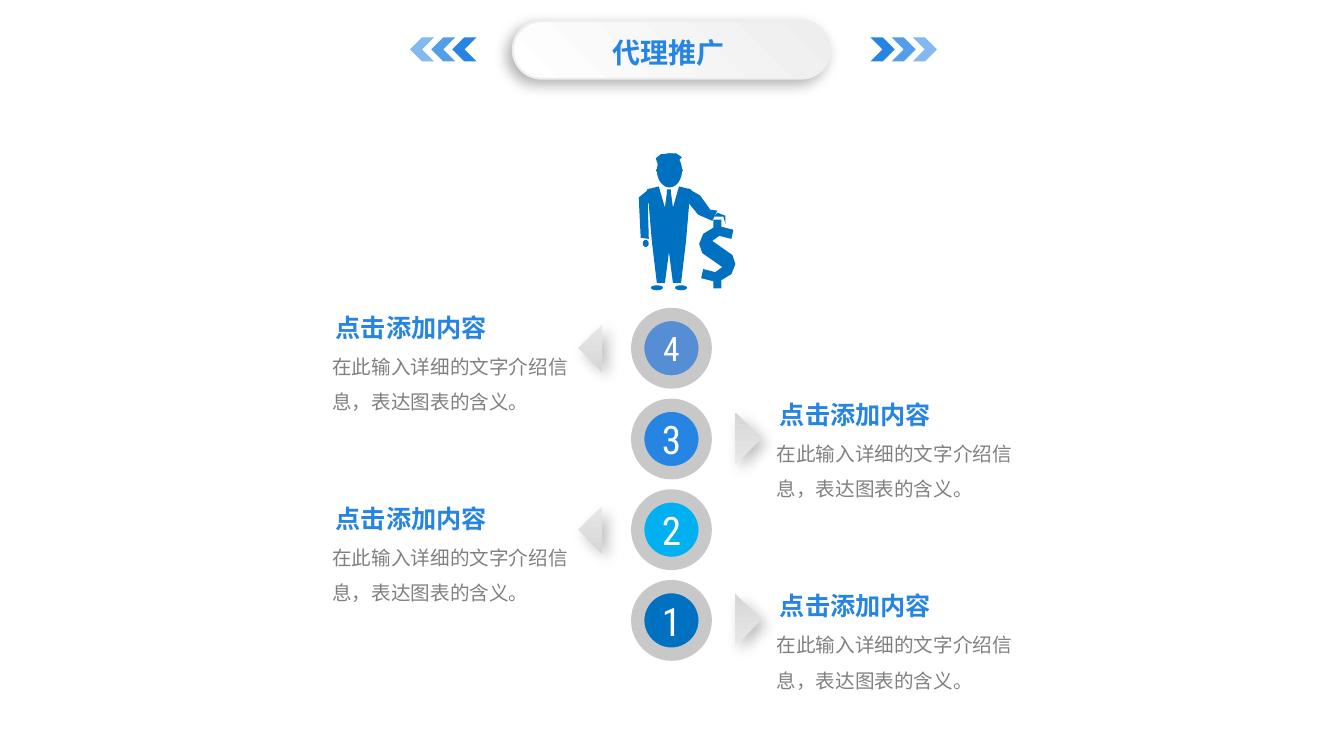
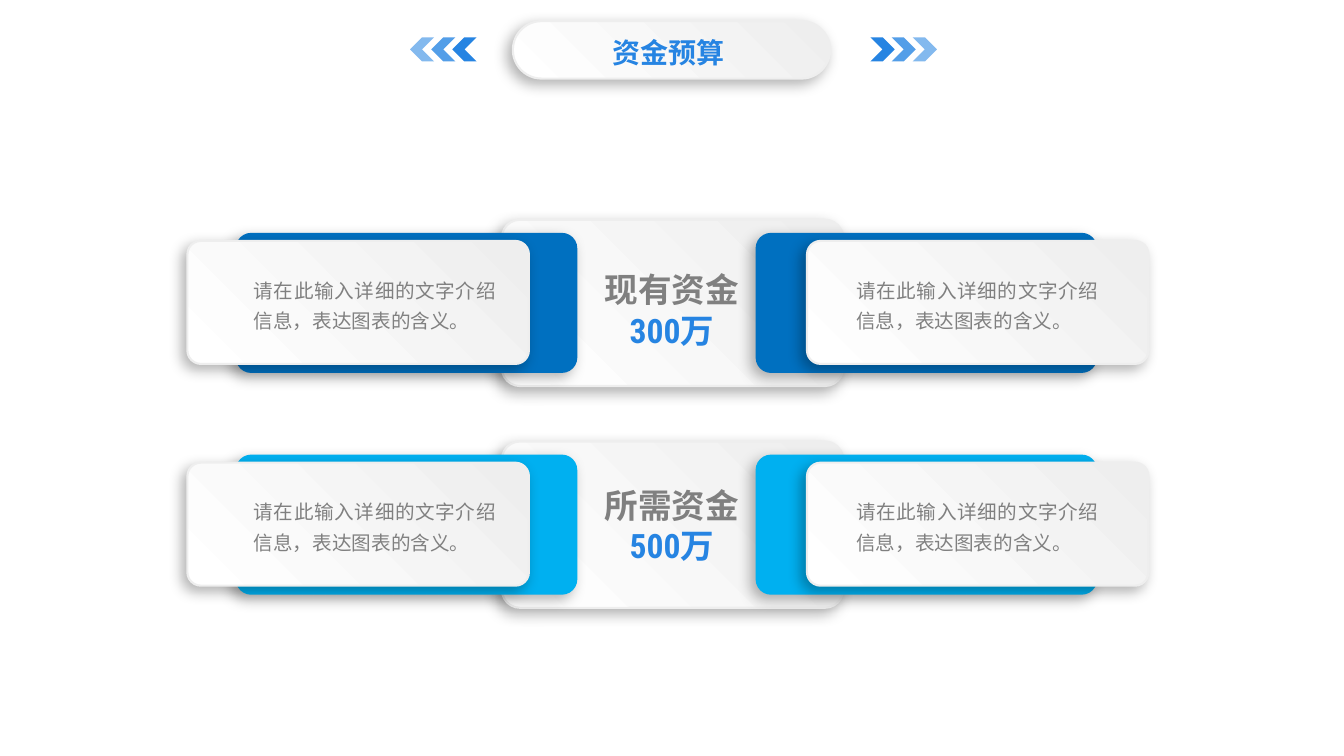
"""Build the promotion and budget slides on a grid of tenth-inch cells."""
import dataclasses

import lxml.etree
import pptx
import pptx.dml.color
import pptx.enum.shapes
import pptx.enum.text
import pptx.oxml.ns
import pptx.util


@dataclasses.dataclass(frozen=True)
class Theme:
    blue: str = "2684E2"
    deep: str = "0070C0"
    sky: str = "00B0F0"
    soft: str = "558ED5"
    grey: str = "808080"
    ring: str = "C8C8C8"
    edge: str = "EEEEEE"
    white: str = "FFFFFF"
    panel: tuple = ("EEEEEE", "FFFFFF")
    wedge: tuple = ("E8E8E8", "D6D6D6")
    body: int = 14
    head: int = 18
    title: int = 20
    sum: int = 24
    digit: int = 28
    cjk: str = "Noto Sans CJK SC"
    latin: str = "Roboto Condensed"


look = Theme()
cell = pptx.util.Inches(0.1)
rgb = pptx.dml.color.RGBColor.from_string
qn = pptx.oxml.ns.qn
kinds = pptx.enum.shapes.MSO_SHAPE
sides = pptx.enum.text.PP_ALIGN
anchors = pptx.enum.text.MSO_ANCHOR


def write(frame, text, size=look.body, color=look.grey, bold=False, face=look.cjk,
          align=sides.LEFT, gap=None, anchor=anchors.TOP, pad=None, wrap=True, more=False):
    frame.word_wrap = wrap
    frame.auto_size = pptx.enum.text.MSO_AUTO_SIZE.NONE
    frame.vertical_anchor = anchor
    if pad is not None:
        frame.margin_left = frame.margin_right = frame.margin_top = frame.margin_bottom = pad
    para = frame.add_paragraph() if more else frame.paragraphs[0]
    para.alignment = align
    if gap:
        para.line_spacing = gap
    run = para.add_run()
    run.text = text
    run.font.size = pptx.util.Pt(size)
    run.font.bold = bold
    run.font.color.rgb = rgb(color)
    run.font.name = face
    lxml.etree.SubElement(run._r.get_or_add_rPr(), qn("a:ea"), typeface=look.cjk)


def block(shapes, kind, box, fill, edge=None, wide=1.5, shade=None, turn=0, clear=100, round=None):
    shape = shapes.add_shape(kind, *[int(n * cell) for n in box])
    shape.rotation = turn
    if round:
        shape.adjustments[0] = round
    if isinstance(fill, tuple):
        shape.fill.gradient()
        shape.fill.gradient_angle = 360 - shade[1]
        for stop, color in zip(shape.fill.gradient_stops, fill):
            stop.color.rgb = rgb(color)
    else:
        shape.fill.solid()
        shape.fill.fore_color.rgb = rgb(fill)
    props = shape.element.spPr
    if clear < 100:
        lxml.etree.SubElement(props.find(".//" + qn("a:srgbClr")), qn("a:alpha"), val=str(clear * 1000))
    if edge:
        shape.line.color.rgb = rgb(edge)
        shape.line.width = pptx.util.Pt(wide)
    else:
        shape.line.fill.background()
    shape.shadow.inherit = False
    if shade:
        cast = lxml.etree.SubElement(
            props.find(qn("a:effectLst")), qn("a:outerShdw"), blurRad="127000", dist="63500",
            dir=str(shade[1] * 60000), algn="ctr", rotWithShape="0")
        tint = lxml.etree.SubElement(cast, qn("a:srgbClr"), val="000000")
        lxml.etree.SubElement(tint, qn("a:alpha"), val=str(shade[0] * 1000))
    return shape


deck = pptx.Presentation()
deck.slide_width = pptx.util.Inches(13.34)
deck.slide_height = pptx.util.Inches(7.5)
drop = (30, 135)
pages = []
for name in ("代理推广", "资金预算"):
    page = deck.slides.add_slide(deck.slide_layouts[5])
    pages.append(page)
    block(page.shapes, kinds.ROUNDED_RECTANGLE, (50.9, 2.1, 31.5, 5.7), look.panel,
          edge=look.edge, shade=drop, round=0.5)
    for turn, left, step in ((0, 86.4, 2.1), (180, 44.9, -2.1)):
        group = page.shapes.add_group_shape()
        for rank, clear in enumerate((100, 79, 57)):
            block(group.shapes, kinds.CHEVRON, (left + step * rank, 3.7, 2.4, 2.4), look.blue,
                  turn=turn, clear=clear)
    title = page.shapes.title
    title.left, title.top, title.width, title.height = [int(n * cell) for n in (54.9, 3.1, 23, 4.1)]
    write(title.text_frame, name, size=look.title, color=look.blue, bold=True, face=look.latin,
          align=sides.CENTER, anchor=anchors.MIDDLE, pad=0)
    page.shapes.element.append(title.element)

promo, budget = pages

trunk = [(666, 188), (666, 191), (668, 206), (674, 185), (686, 188), (684, 203), (681, 239),
         (676, 281), (668, 281), (664, 250)]
trunk += [(1328 - x, y) for x, y in reversed(trunk)]
money = [(716, 218), (716, 225), (728, 228), (726, 237), (714, 234), (707, 239), (717, 246),
         (727, 253), (730, 262), (726, 272), (716, 278), (716, 286)]
money += [(1424 - x, 504 - y) for x, y in money]
parts = (
    trunk,
    money,
    [(645, 187), (634, 196), (636, 236), (644, 237), (643, 202), (648, 200)],
    [(683, 187), (695, 194), (705, 208), (712, 209), (707, 219), (693, 213), (684, 202)],
    [(651, 157), (656, 153), (671, 152), (677, 156), (672, 161), (653, 163)],
    [(712, 211), (709, 215), (718, 215), (720, 222), (720, 214)],
)
group = promo.shapes.add_group_shape()
for dots in parts:
    pen = group.shapes.build_freeform(*dots[0], scale=cell / 10)
    pen.add_line_segments(dots[1:], close=True)
    part = pen.convert_to_shape()
    part.fill.solid()
    part.fill.fore_color.rgb = rgb(look.deep)
    part.line.fill.background()
    part.shadow.inherit = False
for box in ((65.2, 15.2, 2.5, 3.4), (65.1, 16.4, 2.7, 1),
            (63.8, 23.8, 0.6, 0.7), (64.6, 28.3, 1.2, 0.5), (67, 28.3, 1.2, 0.5)):
    block(group.shapes, kinds.OVAL, box, look.deep)

steps = (
    ("4", look.soft, look.sum, 30.5),
    ("3", look.blue, look.digit, 39.1),
    ("2", look.sky, look.digit, 49.4),
    ("1", look.deep, look.digit, 58.1),
)
for row, (digit, color, size, top) in enumerate(steps):
    disc = 31.2 + 9 * row
    if row % 2:
        left, wedge, turn = 76.2, (71.2, disc + 1.5, 3.6, 3.6), 225
    else:
        left, wedge, turn = 32.1, (58.1, disc + 1.7, 3.3, 3.3), 45.3
    block(promo.shapes, kinds.RIGHT_TRIANGLE, wedge, look.wedge, shade=(25, 45), turn=turn)
    dot = block(promo.shapes, kinds.OVAL, (63.3, disc, 6.7, 6.7), color, edge=look.ring, wide=9.5)
    write(dot.text_frame, digit, size=size, color=look.white, face=look.latin,
          align=sides.CENTER, anchor=anchors.MIDDLE, pad=0)
    head = promo.shapes.add_textbox(*[int(n * cell) for n in (left, top, 17.2, 4)])
    write(head.text_frame, "点击添加内容", size=look.head, color=look.blue, bold=True,
          align=sides.RIGHT, wrap=False)
    note = promo.shapes.add_textbox(*[int(n * cell) for n in (left - 0.1, top + 3, 26.1, 8.1)])
    write(note.text_frame, "在此输入详细的文字介绍信息，表达图表的含义。", gap=1.5, anchor=anchors.MIDDLE)

funds = (("现有资金", "300万", look.deep, 26.3), ("所需资金", "500万", look.sky, 47.7))
for row, (name, total, color, high) in enumerate(funds):
    top = 21.8 + 22 * row
    block(budget.shapes, kinds.ROUNDED_RECTANGLE, (49.8, top, 33.9, 16.5), look.panel,
          edge=look.edge, shade=drop, round=0.11)
    label = budget.shapes.add_textbox(*[int(n * cell) for n in (54.9, high, 23.6, 8.8)])
    write(label.text_frame, name, size=look.sum, bold=True, align=sides.CENTER,
          anchor=anchors.MIDDLE, pad=0)
    write(label.text_frame, total, size=look.sum, color=look.blue, bold=True, face=look.latin,
          align=sides.CENTER, anchor=anchors.MIDDLE, more=True)
    for back, front, left in ((75, 80.1, 84), (23.4, 18.6, 24.2)):
        block(budget.shapes, kinds.ROUNDED_RECTANGLE, (back, top + 1.3, 33.9, 13.9), color,
              shade=drop, round=0.11)
        block(budget.shapes, kinds.ROUNDED_RECTANGLE, (front, top + 2.1, 33.9, 12.2), look.panel,
              edge=look.edge, shade=drop, round=0.11)
        note = budget.shapes.add_textbox(*[int(n * cell) for n in (left, top + 4.65, 26, 7.1)])
        write(note.text_frame, "请在此输入详细的文字介绍信息，表达图表的含义。", align=sides.JUSTIFY, gap=1.3)

deck.save("out.pptx")
